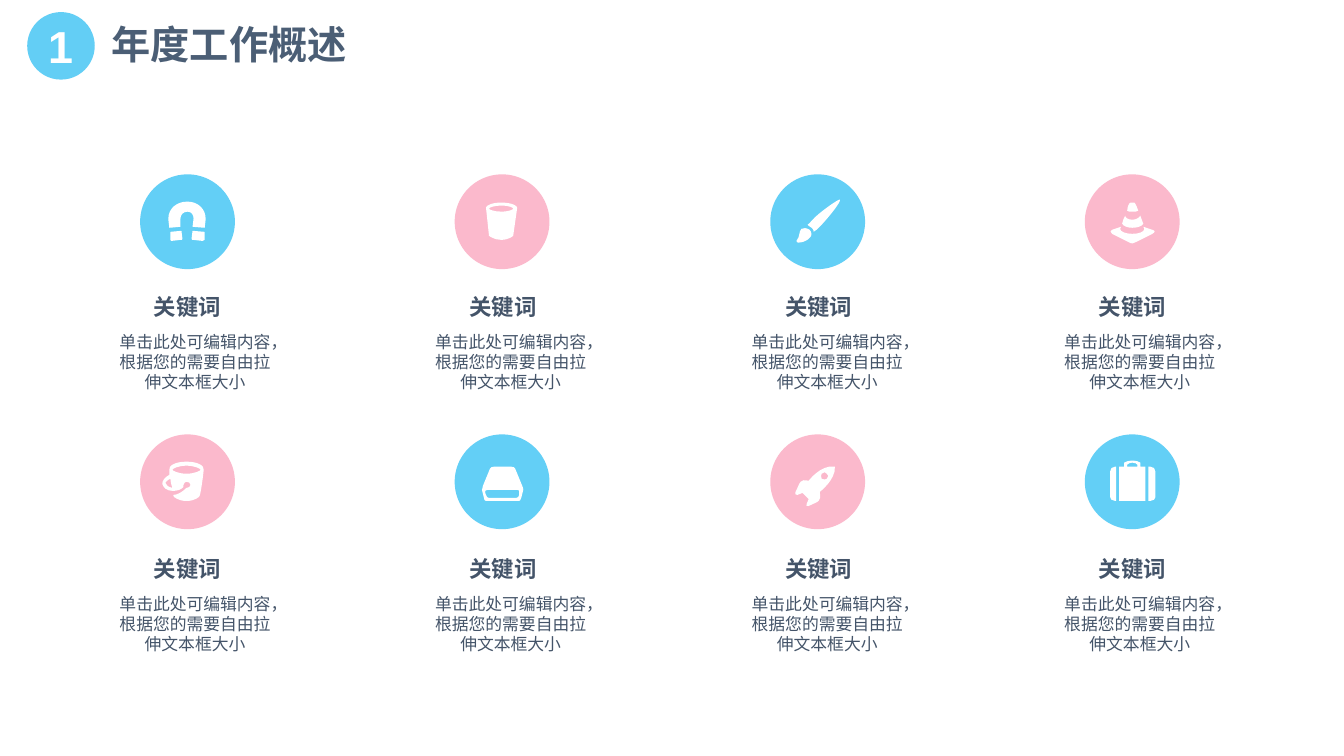
from dataclasses import dataclass

from lxml.etree import Element, SubElement
from pptx import Presentation
from pptx.dml.color import RGBColor
from pptx.enum.shapes import MSO_SHAPE as SHAPE
from pptx.enum.text import MSO_ANCHOR as ANCHOR, PP_ALIGN as ALIGN
from pptx.oxml.ns import qn
from pptx.shapes.autoshape import Shape
from pptx.slide import Slide
from pptx.util import Inches, Pt

SKY, PINK, WHITE, SLATE = "63CFF6", "FBB9CC", "FFFFFF", "445469"
KEYWORD = "关键词"
DETAIL = "单击此处可编辑内容，根据您的需要自由拉伸文本框大小"

DISC_TOP, DISC_STEP, DISC_SIZE = 1.73, 2.58, 0.94
KEYWORD_TOP, DETAIL_TOP, TEXT_STEP = 2.91, 3.29, 2.6

Point = tuple[int, int]


@dataclass
class Column:
    """Left edges of the parts of one column."""
    disc: float
    keyword: float
    detail: float


@dataclass
class Topic:
    """A disc colour and its icon.

    Each outline lists segments in hundredths of an inch from the disc corner:
    two numbers make a line, six make a cubic curve.
    """
    color: str
    outlines: list[str]


@dataclass
class Label:
    text: str
    left: float
    top: float
    width: float
    height: float
    size: int
    color: str = SLATE
    bold: bool = True
    align: ALIGN = ALIGN.CENTER
    inset: tuple[float, float] = (0, 0)


COLUMNS = [
    Column(1.39, 0.58, 1.18), Column(4.51, 3.71, 4.31),
    Column(7.64, 6.84, 7.45), Column(10.76, 9.95, 10.55),
]

MAGNET = [
    "51 64, 51 65 52 65 53 65, 62 66, 63 66 63 65 64 65, 64 57, 52 56",
    "30 57, 30 65, 30 65 30 66 31 66, 40 65, 41 65 42 65 42 64, 41 56",
    "28 45, 29 53, 40 52, 40 44, 40 40 43 37 47 37, 51 37 53 40 53 44, 52 52, "
    "64 53, 65 45, 65 44, 65 34 57 27 47 27, 36 27 28 34 28 44",
]
PAIL = [
    "46 28, 37 28 31 31 31 33, 34 61, 34 61 39 65 46 65, 54 65 58 61 58 61, "
    "62 33, 62 31 56 28 46 28",
    "46 37, 39 37 34 35 34 34, 34 33 39 31 46 31, 54 31 58 33 58 34, "
    "58 35 54 37 46 37",
]
BRUSH = [
    "31 54, 28 57 30 61 26 66, 24 69 35 68 39 63, 42 61 41 57 39 55, "
    "36 53 33 53 31 54",
    "69 25, 68 24 47 39 42 45, 39 48 39 49 37 50, 37 51 38 51 38 51, "
    "39 52 39 52 41 53, 42 54 43 55 43 56, 43 57, 45 56 47 54 49 52, "
    "55 46 71 27 69 25",
]
CONE = [
    "47 53, 53 53 57 51 58 49, 57 46 56 44 55 41, 54 43 51 45 47 45, "
    "43 45 40 43 40 41, 38 44 38 46 37 49, 38 51 42 53 47 53",
    "47 37, 50 37 52 37 53 36, 52 33 51 31 50 29, 50 28 49 28 47 28, "
    "46 28 44 28 44 29, 43 31 42 33 42 36, 42 37 45 37 47 37",
    "67 55, 58 52, 59 54, 59 57 54 59 47 59, 41 59 35 57 35 54, 36 52, 27 55, "
    "25 56 25 57 27 59, 43 67, 46 69 49 69 51 67, 67 59, 70 57 70 56 67 55",
]
CUP = [
    "46 27, 35 27 28 31 29 35, 29 40, 24 43 22 46 22 49, 23 52 25 56 33 56, "
    "36 56 41 55 43 52, 43 50, 43 48 45 47 46 47, 48 47 50 48 50 50, "
    "50 52 48 53 46 53, 42 57 37 60 33 60, 33 61, 33 62 38 66 46 66, "
    "54 66 59 62 59 61, 60 60 63 38 63 35, 64 31 57 27 46 27",
    "25 48, 25 48 27 45 30 44, 30 47 31 50 32 53, 28 52 26 51 25 48",
    "46 39, 38 39 32 36 32 35, 32 34 38 31 46 31, 54 31 60 34 60 35, "
    "60 36 54 39 46 39",
]
DRIVE = [
    "67 51, 60 34, 60 33 58 32 56 32, 39 32, 37 32 35 33 35 34, 28 51, "
    "28 52 27 55 27 55, 29 63, 29 65 30 66 31 66, 64 66, 64 66 66 65 66 63, "
    "68 55, 68 55 68 52 67 51",
    "64 57, 64 60, 64 62 62 63 61 63, 34 63, 33 63 31 62 31 60, 30 57, "
    "30 56 31 55 33 55, 62 55, 64 55 64 56 64 57",
]
ROCKET = [
    "49 57, 49 57 65 45 64 32, 63 32, 50 30 38 46 38 46, 29 44 30 47 25 57, "
    "24 60 26 60 27 60, 29 59 32 58 32 58, 38 64, 38 64 37 67 36 69, "
    "35 70 36 72 38 71, 48 66 51 67 49 57",
    "51 44, 50 42 50 40 51 39, 53 37 55 37 56 39, 58 40 58 42 56 44, "
    "55 45 53 45 51 44",
]
SUITCASE = [
    "65 32, 63 32, 63 66, 65 66, 68 66 70 64 70 62, 70 37, 70 34 68 32 65 32",
    "25 37, 25 62, 25 64 27 66 30 66, 31 66, 31 32, 30 32, 27 32 25 34 25 37",
    "55 28, 54 27 51 26 47 26, 43 26 41 27 39 28, 39 32, 34 32, 34 66, 60 66, "
    "60 32, 55 32",
    "52 32, 42 32, 42 30, 43 29 45 28 47 28, 50 28 51 29 52 30",
]

TOPICS = [
    Topic(SKY, MAGNET), Topic(PINK, PAIL), Topic(SKY, BRUSH), Topic(PINK, CONE),
    Topic(PINK, CUP), Topic(SKY, DRIVE), Topic(PINK, ROCKET), Topic(SKY, SUITCASE),
]


def rgb(color: str) -> RGBColor:
    return RGBColor.from_string(color)


def paint(sp: Shape, color: str) -> None:
    sp.shadow.inherit = False
    sp.line.fill.background()
    sp.fill.solid()
    sp.fill.fore_color.rgb = rgb(color)


def add_disc(s: Slide, left: float, top: float, size: float, color: str) -> Shape:
    sp = s.shapes.add_shape(SHAPE.OVAL, *map(Inches, (left, top, size, size)))
    paint(sp, color)
    return sp


def read_segments(outline: str, left: float, top: float) -> list[list[Point]]:
    """Give the slide points of each segment, its end point last."""
    segments = []
    for segment in outline.split(","):
        n = [int(v) / 100 for v in segment.split()]
        segments.append([(Inches(left + x), Inches(top + y))
                         for x, y in zip(n[::2], n[1::2])])
    return segments


def bend(sp: Shape, segments: list[list[Point]]) -> None:
    """Turn the straight segments that have control points into curves."""
    lines = list(sp._element.iter(qn("a:lnTo")))
    for line, (*controls, _) in zip(lines, segments):
        if not controls:
            continue
        line.tag = qn("a:cubicBezTo")
        for i, (x, y) in enumerate(controls):
            line.insert(i, Element(qn("a:pt"), x=str(x - sp.left), y=str(y - sp.top)))


def add_icon(s: Slide, left: float, top: float, outlines: list[str]) -> None:
    builder, drawn = None, []
    for outline in outlines:
        (start,), *segments = read_segments(outline, left, top)
        if builder is None:
            builder = s.shapes.build_freeform(*start)
        else:
            builder.move_to(*start)
        builder.add_line_segments([segment[-1] for segment in segments], close=True)
        drawn += segments
    sp = builder.convert_to_shape()
    bend(sp, drawn)
    paint(sp, WHITE)


def add_label(s: Slide, label: Label) -> None:
    box = map(Inches, (label.left, label.top, label.width, label.height))
    tf = s.shapes.add_textbox(*box).text_frame
    side, edge = map(Inches, label.inset)
    frame = {"word_wrap": True, "vertical_anchor": ANCHOR.TOP, "margin_left": side,
             "margin_right": side, "margin_top": edge, "margin_bottom": edge}
    for name, value in frame.items():
        setattr(tf, name, value)
    p = tf.paragraphs[0]
    p.alignment = label.align
    r = p.add_run()
    r.text = label.text
    for name, value in {"name": "Arial", "size": Pt(label.size), "bold": label.bold}.items():
        setattr(r.font, name, value)
    r.font.color.rgb = rgb(label.color)


def add_topic(s: Slide, topic: Topic, row: int, column: Column) -> None:
    top, drop = DISC_TOP + row * DISC_STEP, row * TEXT_STEP
    add_disc(s, column.disc, top, DISC_SIZE, topic.color)
    add_icon(s, column.disc, top, topic.outlines)
    add_label(s, Label(KEYWORD, column.keyword, KEYWORD_TOP + drop, 2.56, 0.27, 16))
    add_label(s, Label(DETAIL, column.detail, DETAIL_TOP + drop, 1.51, 0.61, 12, bold=False))


def add_header(s: Slide) -> None:
    disc = add_disc(s, 0.27, 0.12, 0.67, "00B0F0")
    tint = disc._element.spPr.find(".//" + qn("a:srgbClr"))
    SubElement(tint, qn("a:alpha"), val="61000")
    inset = (0.1, 0.05)
    add_label(s, Label("1", 0.34, 0.14, 0.52, 0.64, 32, WHITE, inset=inset))
    add_label(s, Label("年度工作概述", 1.01, 0.15, 3.64, 0.57, 28, "4B5E75",
                       align=ALIGN.LEFT, inset=inset))


def main() -> None:
    prs = Presentation()
    prs.slide_width, prs.slide_height = Inches(13.33), Inches(7.5)
    s = prs.slides.add_slide(prs.slide_layouts[6])
    for i, topic in enumerate(TOPICS):
        row, place = divmod(i, len(COLUMNS))
        add_topic(s, topic, row, COLUMNS[place])
    add_header(s)
    prs.save("out.pptx")


if __name__ == "__main__":
    main()
